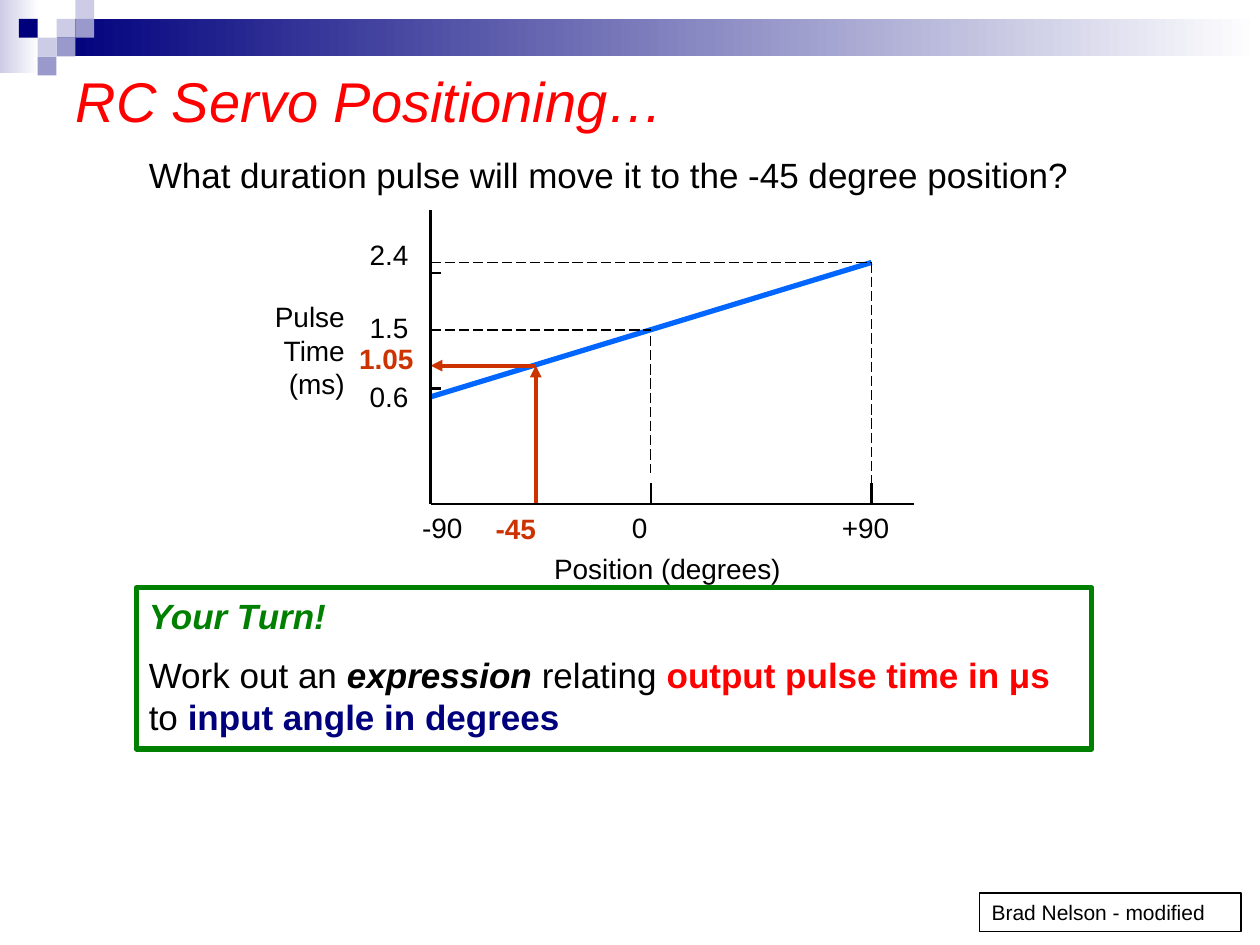
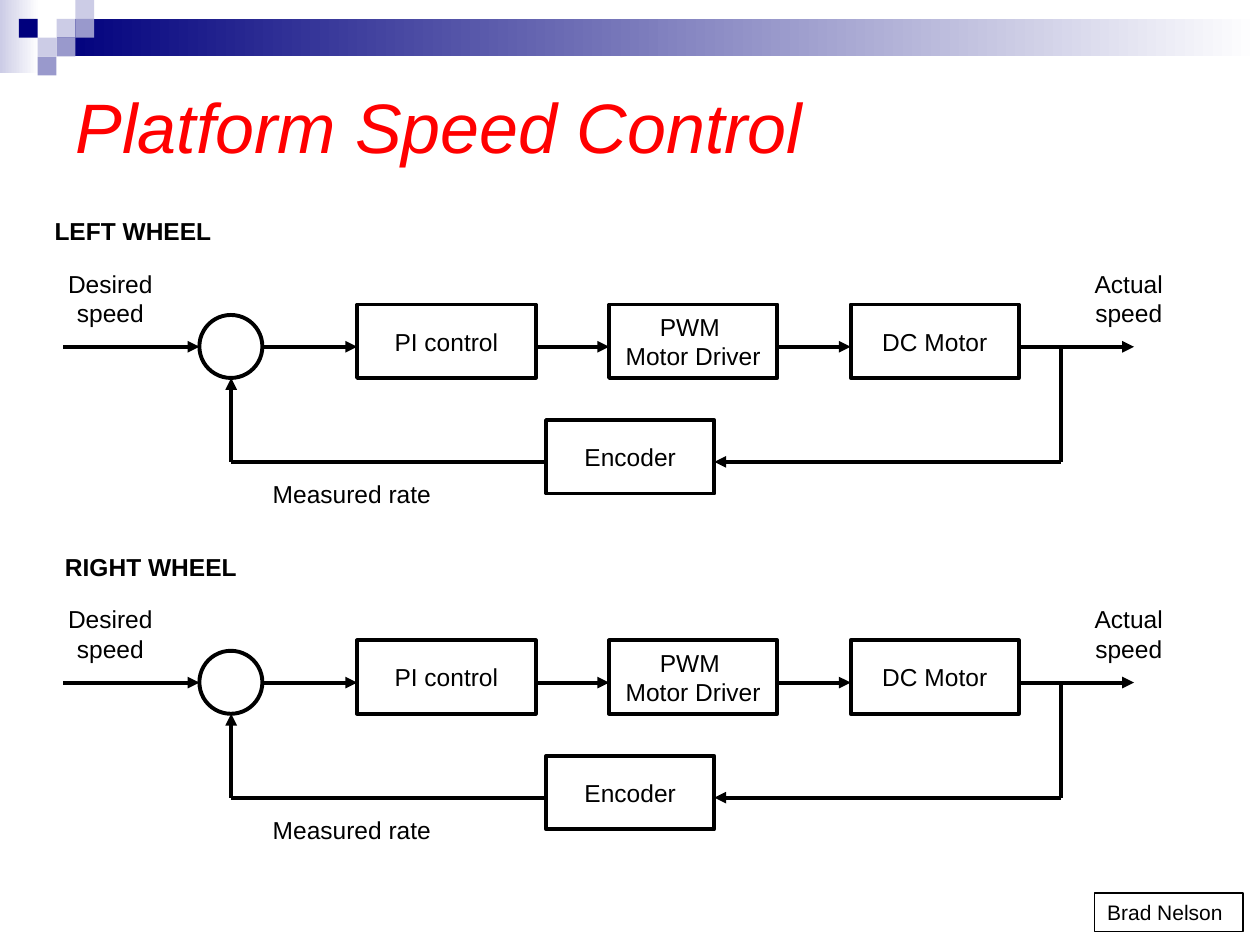
from pptx import Presentation, util as u
from pptx.dml.color import RGBColor
from pptx.enum import dml, shapes, text
from pptx.oxml.ns import qn
from lxml import etree

INK = {
    "black": "000000", "white": "FFFFFF", "red": "FF0000", "rust": "CC3300",
    "green": "008000", "blue": "0066FF", "navy": "00007D",
    "pale": "CCCCE6", "lilac": "9999CC",
}
KIND = shapes.MSO_SHAPE
LEFT, MID, RIGHT = (text.PP_ALIGN.LEFT, text.PP_ALIGN.CENTER,
                    text.PP_ALIGN.RIGHT)


def rgb(name):
    """Give the colour with this name."""
    return RGBColor.from_string(INK[name])


class Deck:
    """Hold the shared style and the current slide; lengths are in cm."""

    font = "Arial"
    cell = 0.38

    def __init__(self):
        """Open a 4:3 deck."""
        self.prs = Presentation()
        self.prs.slide_width = u.Cm(25.4)
        self.prs.slide_height = u.Cm(19.05)
        self.base = self.prs.slide_layouts[5]
        self.slide = None

    def page(self, title, high, size):
        """Start a slide with its title."""
        self.slide = self.prs.slides.add_slide(self.base)
        head = self.slide.shapes.title
        head.left, head.top = u.Cm(1.27), u.Cm(1.27)
        head.width, head.height = u.Cm(22.86), u.Cm(high)
        frame = head.text_frame
        frame.text = title
        frame.auto_size = text.MSO_AUTO_SIZE.NONE
        frame.vertical_anchor = text.MSO_ANCHOR.MIDDLE
        self.style(frame, size, "red", LEFT, italic=True)

    def style(self, frame, size, ink, align=LEFT, bold=False, italic=False):
        """Format every run of a text frame."""
        for para in frame.paragraphs:
            para.alignment = align
            for run in para.runs:
                self.face(run, size, ink, bold, italic)

    def face(self, run, size, ink, bold=False, italic=False):
        """Format one run."""
        font = run.font
        font.name, font.size = self.font, u.Pt(size)
        font.bold, font.italic = bold, italic
        font.color.rgb = rgb(ink)

    def shape(self, kind, x, y, w, h, fill="white", line=None, wide=2.25):
        """Draw a preset shape; a pair of fills makes a gradient."""
        item = self.slide.shapes.add_shape(
            kind, u.Cm(x), u.Cm(y), u.Cm(w), u.Cm(h))
        item.shadow.inherit = False
        if isinstance(fill, tuple):
            item.fill.gradient()
            item.fill.gradient_angle = 0
            for stop, ink in zip(item.fill.gradient_stops, fill):
                stop.color.rgb = rgb(ink)
        elif fill:
            item.fill.solid()
            item.fill.fore_color.rgb = rgb(fill)
        else:
            item.fill.background()
        if line:
            item.line.color.rgb = rgb(line)
            item.line.width = u.Pt(wide)
        else:
            item.line.fill.background()
        return item

    def block(self, words, x, y, w, h=1.48):
        """Draw a diagram block with a centred label."""
        frame = self.shape(KIND.RECTANGLE, x, y, w, h, line="black").text_frame
        frame.text = words
        frame.word_wrap = False
        frame.vertical_anchor = text.MSO_ANCHOR.MIDDLE
        self.style(frame, 14, "black", MID)

    def label(self, words, x, y, w, h=0.94, size=16, ink="black",
              align=LEFT, bold=False):
        """Write a free label."""
        box = self.slide.shapes.add_textbox(
            u.Cm(x), u.Cm(y), u.Cm(w), u.Cm(h))
        frame = box.text_frame
        frame.text = words
        frame.word_wrap = True
        self.style(frame, size, ink, align, bold)

    def task(self, rows, x, y, w, h):
        """Draw a framed note; rows hold (words, ink, bold, italic) runs."""
        box = self.shape(KIND.RECTANGLE, x, y, w, h, "white", "green", 3)
        frame = box.text_frame
        frame.word_wrap = True
        frame.vertical_anchor = text.MSO_ANCHOR.TOP
        for i, row in enumerate(rows):
            para = frame.add_paragraph() if i else frame.paragraphs[0]
            para.alignment = LEFT
            para.space_before = u.Pt(10 if i else 0)
            for words, *look in row:
                run = para.add_run()
                run.text = words
                self.face(run, 20, *look)

    def line(self, start, end, ink="black", wide=2.25, dash=False, tip=False):
        """Draw a straight line, with an arrow tip at its end if asked."""
        item = self.slide.shapes.add_connector(
            shapes.MSO_CONNECTOR.STRAIGHT, *map(u.Cm, (*start, *end)))
        item.line.color.rgb = rgb(ink)
        item.line.width = u.Pt(wide)
        if dash:
            item.line.dash_style = dml.MSO_LINE.LONG_DASH
        if tip:
            tail = etree.SubElement(item.line._get_or_add_ln(),
                                    qn("a:tailEnd"))
            tail.set("type", "triangle")
        etree.SubElement(item._element.spPr, qn("a:effectLst"))

    def band(self):
        """Put the top band and its squares on the shared layout."""
        c = self.cell
        parts = [(0, 0, 0.79, 1.47, ("pale", "white")),
                 (3 * c, c, 25.4 - 3 * c, 2 * c, ("navy", "white"))]
        for col, row, ink in ((3, 1, "pale"), (4, 0, "pale"), (4, 1, "lilac"),
                              (2, 2, "pale"), (1, 1, "navy"),
                              (3, 2, "lilac"), (2, 3, "lilac")):
            parts.append((col * c, row * c, c, c, ink))
        for part in parts:
            item = self.shape(KIND.RECTANGLE, *part)
            self.base.shapes._spTree.append(item._element)

    def credit(self, words, x, w):
        """Write the framed author line at the bottom right."""
        box = self.shape(KIND.RECTANGLE, x, 18, w, 0.78, None, "black", 0.75)
        frame = box.text_frame
        frame.text = words
        frame.word_wrap = True
        frame.vertical_anchor = text.MSO_ANCHOR.TOP
        self.style(frame, 12, "black")

    def plot(self):
        """Draw pulse time against servo position."""
        left, zero, right = 8.68, 13.12, 17.57
        high, half, low, base = 5.29, 6.65, 8, 10.16
        aim = (10.8, 7.37)
        self.line((left, low), (right, high), "blue", 3)
        for start, end in (((right, high), (right, 9.74)),
                           ((left, high), (right, high)),
                           ((left, half), (zero, half)),
                           ((zero, 6.77), (zero, 9.53))):
            self.line(start, end, wide=0.75, dash=True)
        self.line((aim[0], base), aim, "rust", tip=True)
        self.line(aim, (left, aim[1]), "rust", tip=True)
        self.line((left, 4.23), (left, base), wide=1.5)
        self.line((left, base), (18.42, base), wide=1.5)
        for x in (zero, right):
            self.line((x, base), (x, 9.74), wide=1.5)
        for y in (5.5, 7.83):
            self.line((left, y), (8.89, y), wide=1.5)
        for words, x, w in (("-90", 8.26, 1.69), ("0", 12.49, 1.27),
                            ("+90", 16.72, 1.48)):
            self.label(words, x, base, w)
        for words, y in (("2.4", 4.66), ("1.5", 6.14), ("0.6", 7.52)):
            self.label(words, 7.2, y, 1.48)
        self.label("Position (degrees)", 10.92, 11, 5.5)
        self.label("Pulse Time (ms)", 4.87, 5.92, 2.33, 2.29, align=RIGHT)
        self.label("-45", 9.74, 10.19, 1.75, ink="rust", bold=True)
        self.label("1.05", 6.99, 6.77, 1.78, ink="rust", bold=True)

    def loop(self, name, x, dy):
        """Draw the speed loop of one wheel, moved down by dy."""
        mid, back, sum_x, out = 6.99 + dy, 9.31 + dy, 4.66, 21.38
        self.shape(KIND.OVAL, 4.02, 6.35 + dy, 1.27, 1.27, line="black")
        for words, left, top, w in (("PI control", 7.2, 6.14, 3.6),
                                    ("PWM \vMotor Driver", 12.28, 6.14, 3.39),
                                    ("DC Motor", 17.15, 6.14, 3.39),
                                    ("Encoder", 11.01, 8.47, 3.39)):
            self.block(words, left, top + dy, w)
        for start, end in ((1.27, 4.02), (5.29, 7.2), (10.8, 12.28),
                           (15.67, 17.15), (20.54, 22.86)):
            self.line((start, mid), (end, mid), tip=True)
        self.line((out, mid), (out, back))
        self.line((out, back), (14.4, back), tip=True)
        self.line((11.01, back), (sum_x, back))
        self.line((sum_x, back), (sum_x, 7.62 + dy), tip=True)
        for words, left, top, w, h in (
                ("Desired\vspeed", 0.85, 5.29, 2.75, 1.45),
                ("Actual\vspeed", out, 5.29, 2.75, 1.45),
                ("Measured rate", 4.87, 9.53, 4.45, 0.85)):
            self.label(words, left, top + dy, w, h, 14, align=MID)
        self.label(name, x, 4.23 + dy, 5.5, 0.85, 14, bold=True)


deck = Deck()
deck.page("RC Servo Positioning…", 1.48, 32)
deck.band()
deck.label("What duration pulse will move it to the -45 degree position?",
           2.75, 2.96, 19.26, 1.1, 20)
deck.plot()
deck.task([
    [("Your Turn!", "green", True, True)],
    [("Work out an ", "black"), ("expression", "black", True, True),
     (" relating ", "black"), ("output pulse time in μs ", "red", True),
     ("to ", "black"), ("input angle in degrees", "navy", True)],
], 2.75, 11.85, 19.26, 3.25)
deck.credit("Brad Nelson - modified", 19.74, 5.28)

deck.page("Platform Speed Control", 2.54, 40)
deck.loop("LEFT WHEEL", 0.85, 0)
deck.loop("RIGHT WHEEL", 1.06, 6.77)
deck.credit("Brad Nelson", 22.07, 2.99)

deck.prs.save("out.pptx")
